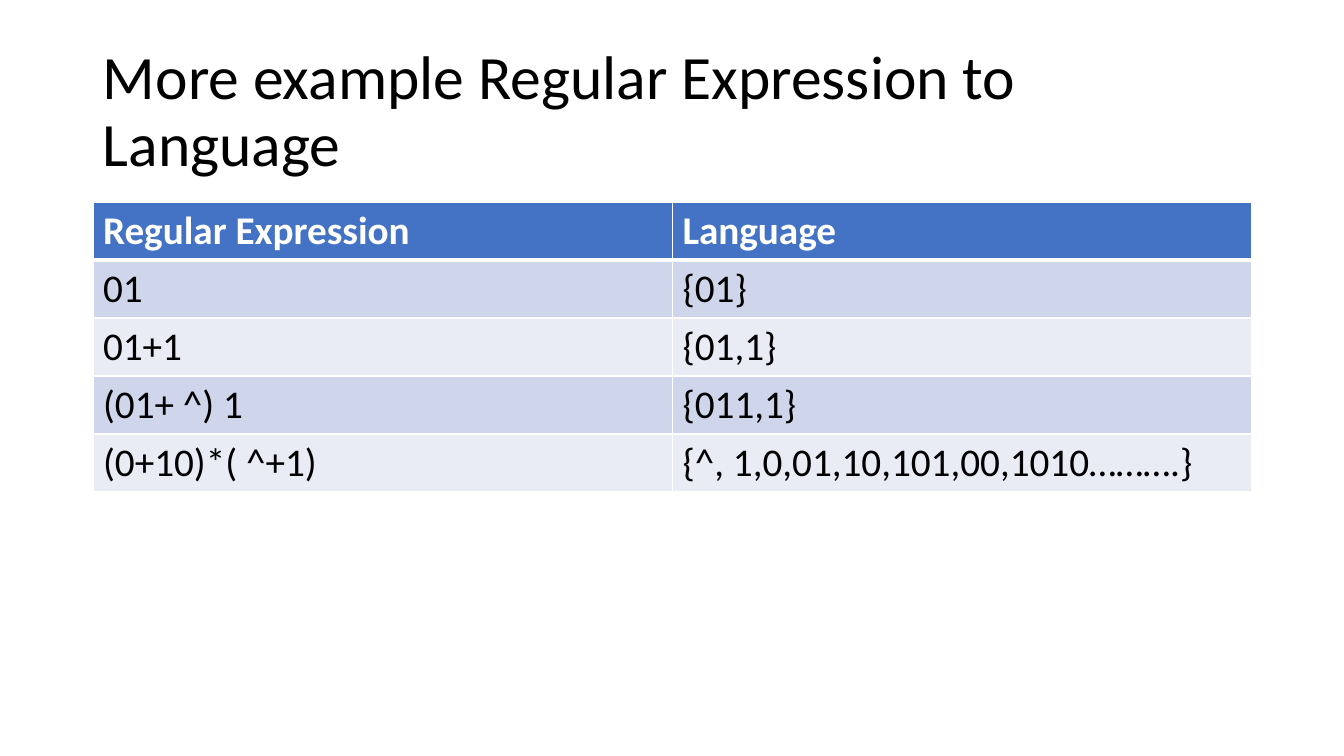
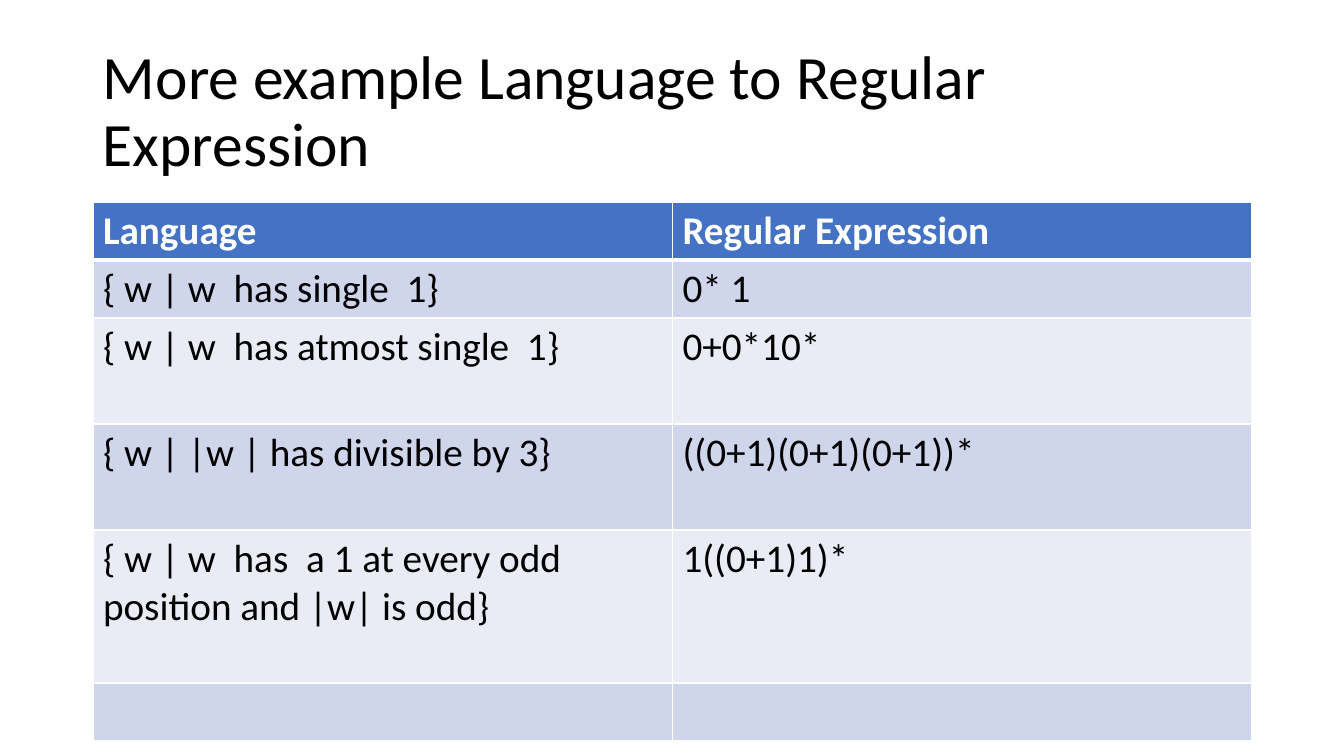
import pptx
import pptx.dml.color
import pptx.enum.text
import pptx.oxml
import pptx.oxml.ns
import pptx.util

# Shared look
EMU_PER_PIXEL = 914400 / 100.8
FONT = "Calibri"
BLACK, WHITE = "000000", "FFFFFF"
HEADER_FILL = "4472C4"
BAND_FILLS = ("CFD5EA", "E9EBF5")
LEFT, WIDTH = 93, 1159
TITLE_TOP, TITLE_HEIGHT = 40, 146
TABLE_TOP = 202
ROW_HEIGHT = 58
THIN, THICK = 1, 3

# Each row: its height and its two cells
TO_LANGUAGE = [
    (ROW_HEIGHT, "Regular Expression", "Language"),
    (ROW_HEIGHT, "01", "{01}"),
    (ROW_HEIGHT, "01+1", "{01,1}"),
    (ROW_HEIGHT, "(01+ ^) 1", "{011,1}"),
    (ROW_HEIGHT, "(0+10)*( ^+1)", "{^, 1,0,01,10,101,00,1010……….}"),
]
TO_EXPRESSION = [
    (ROW_HEIGHT, "Language", "Regular Expression"),
    (ROW_HEIGHT, "{ w | w  has single  1}", "0* 1 "),
    (106, "{ w | w  has atmost single  1}", "0+0*10*"),
    (106, "{ w | |w | has divisible by 3}", "((0+1)(0+1)(0+1))*"),
    (153, "{ w | w  has  a 1 at every odd position and |w| is odd}", "1((0+1)1)*"),
    (ROW_HEIGHT, "", ""),
]


def px(pixels):
    return pptx.util.Emu(round(pixels * EMU_PER_PIXEL))


def color(hex_string):
    return pptx.dml.color.RGBColor.from_string(hex_string)


def add_run(paragraph, text, size, text_color, bold=False):
    run = paragraph.add_run()
    run.text = text
    run.font.name = FONT
    run.font.size = pptx.util.Pt(size)
    run.font.bold = bold
    run.font.color.rgb = color(text_color)


def add_title(slide, text):
    title = slide.shapes.add_textbox(
        px(LEFT), px(TITLE_TOP), px(WIDTH), px(TITLE_HEIGHT))
    frame = title.text_frame
    frame.word_wrap = True
    frame.vertical_anchor = pptx.enum.text.MSO_ANCHOR.MIDDLE
    frame.paragraphs[0].line_spacing = 0.9
    add_run(frame.paragraphs[0], text, 44, BLACK)


def set_borders(cell, top, bottom):
    properties = cell._tc.get_or_add_tcPr()
    for side, points in (("L", THIN), ("R", THIN), ("T", top), ("B", bottom)):
        properties.append(pptx.oxml.parse_xml(
            f'<a:ln{side} {pptx.oxml.ns.nsdecls("a")} w="{pptx.util.Pt(points)}">'
            f'<a:solidFill><a:srgbClr val="{WHITE}"/></a:solidFill></a:ln{side}>'))


def fill_cell(cell, text, row_index):
    is_header = row_index == 0
    # The rule under the header is thick on both sides of the seam
    set_borders(cell, THICK if row_index == 1 else THIN,
                THICK if is_header else THIN)
    cell.fill.solid()
    cell.fill.fore_color.rgb = color(
        HEADER_FILL if is_header else BAND_FILLS[(row_index - 1) % 2])
    if text:
        add_run(cell.text_frame.paragraphs[0], text, 28,
                WHITE if is_header else BLACK, is_header)


def add_example_table(slide, rows):
    total_height = sum(height for height, *_ in rows)
    table = slide.shapes.add_table(
        len(rows), 2, px(LEFT), px(TABLE_TOP), px(WIDTH), px(total_height)).table
    for row_index, (height, *texts) in enumerate(rows):
        table.rows[row_index].height = px(height)
        for column_index, text in enumerate(texts):
            fill_cell(table.cell(row_index, column_index), text, row_index)


def main():
    deck = pptx.Presentation()
    deck.slide_width, deck.slide_height = px(1344), px(756)
    for title, rows in (
        ("More example Regular Expression to Language", TO_LANGUAGE),
        ("More example Language to Regular Expression ", TO_EXPRESSION),
    ):
        slide = deck.slides.add_slide(deck.slide_layouts[6])
        add_title(slide, title)
        add_example_table(slide, rows)
    deck.save("out.pptx")


main()
